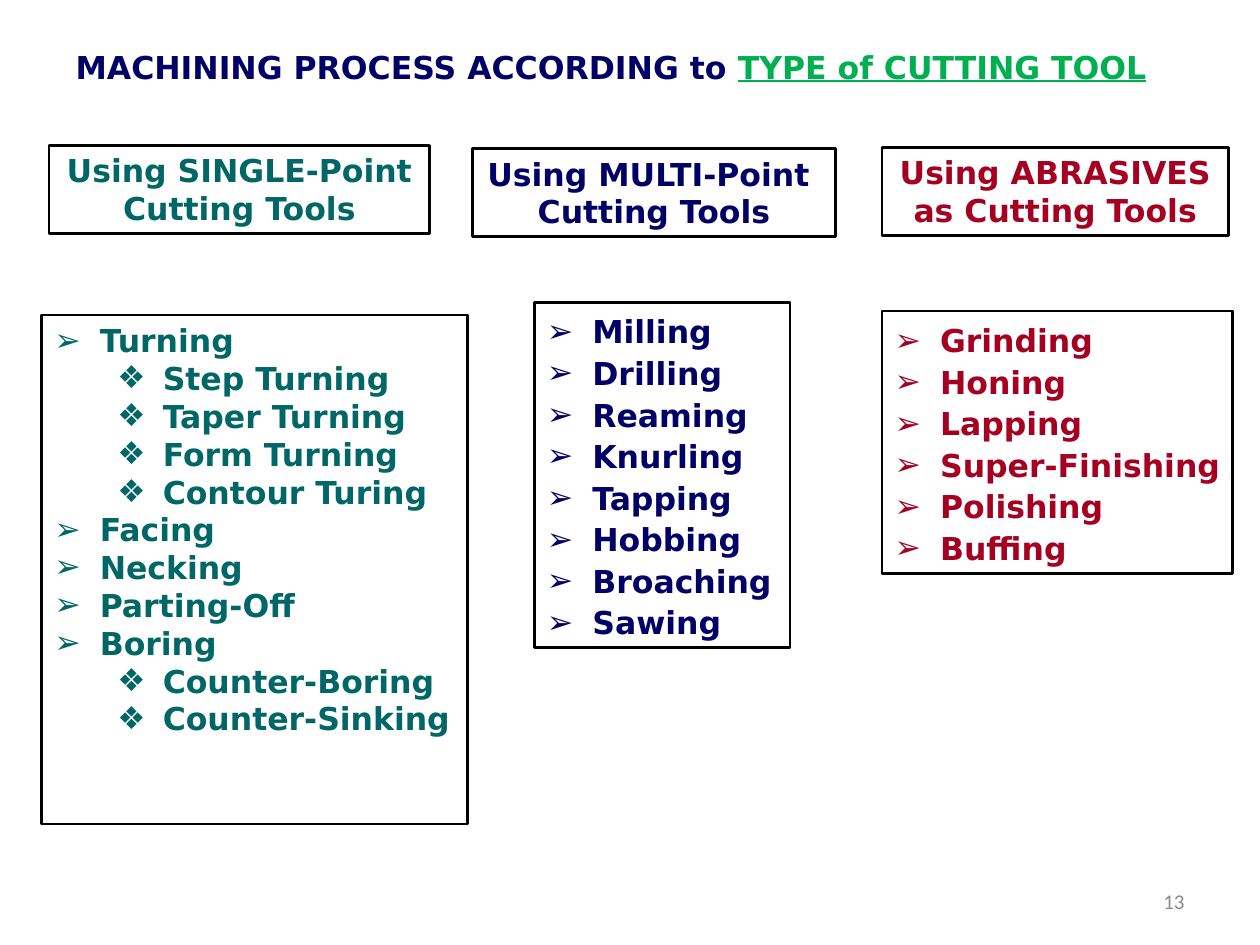
from dataclasses import dataclass

from lxml import etree
from pptx import Presentation
from pptx import util as u
from pptx.dml.color import RGBColor
from pptx.enum import shapes, text
from pptx.oxml import ns

COLORS = {
    "teal": "006666",
    "navy": "000066",
    "crimson": "A50021",
    "green": "00B050",
    "gray": "8C8C8C",
    "black": "000000",
}
HEADING_FONT = "DejaVu Sans"
BULLETS = ("➢", "❖")
LEVEL_INDENTS = (26, 62)
HANGING = 26


@dataclass(frozen=True)
class Box:
    left: float
    top: float
    width: float
    height: float
    wrap: bool = True
    right_margin: float = 7.2


@dataclass(frozen=True)
class ToolGroup:
    color: str
    heading: tuple[str, str]
    heading_box: Box
    processes: tuple[tuple[int, str], ...]
    list_box: Box
    line_spacing: float = 1.1


def main_items(*names: str) -> tuple[tuple[int, str], ...]:
    return tuple((0, name) for name in names)


def sub_items(*names: str) -> tuple[tuple[int, str], ...]:
    return tuple((1, name) for name in names)


GROUPS = (
    ToolGroup(
        "teal",
        ("Using SINGLE-Point", "Cutting Tools"),
        Box(28.1, 83, 217.4, 50.4, wrap=False),
        main_items("Turning")
        + sub_items("Step Turning", "Taper Turning", "Form Turning", "Contour Turing")
        + main_items("Facing", "Necking", "Parting-Off", "Boring")
        + sub_items("Counter-Boring", "Counter-Sinking"),
        Box(23.8, 180, 243.4, 290.9),
        line_spacing=1.0,
    ),
    ToolGroup(
        "navy",
        ("Using MULTI-Point ", "Cutting Tools"),
        Box(270, 84.8, 207.4, 50.4, wrap=False),
        main_items("Milling", "Drilling", "Reaming", "Knurling",
                   "Tapping", "Hobbing", "Broaching", "Sawing"),
        Box(305.3, 172.8, 146.2, 197.3),
    ),
    ToolGroup(
        "crimson",
        ("Using ABRASIVES", "as Cutting Tools"),
        Box(504, 84.2, 198, 50.4, wrap=False),
        main_items("Grinding", "Honing", "Lapping",
                   "Super-Finishing", "Polishing", "Buffing"),
        Box(504, 177.8, 200.2, 149.8, right_margin=0),
    ),
)


def rgb(name: str) -> RGBColor:
    return RGBColor.from_string(COLORS[name])


def write(paragraph, content: str, *, color: str, size: float = 18,
          font: str = HEADING_FONT, bold: bool = True, underline: bool = False,
          align=text.PP_ALIGN.JUSTIFY, spacing: float = 1.0) -> None:
    paragraph.alignment = align
    paragraph.line_spacing = spacing
    paragraph.space_before = u.Pt(0)
    run = paragraph.add_run()
    run.text = content
    run.font.name = font
    run.font.size = u.Pt(size)
    run.font.bold = bold
    run.font.underline = underline
    run.font.color.rgb = rgb(color)


def add_bullet(paragraph, level: int, color: str) -> None:
    paragraph.level = level
    properties = paragraph._p.get_or_add_pPr()
    properties.set("marL", str(u.Pt(LEVEL_INDENTS[level])))
    properties.set("indent", str(-u.Pt(HANGING)))
    bullet_color = etree.SubElement(properties, ns.qn("a:buClr"))
    etree.SubElement(bullet_color, ns.qn("a:srgbClr")).set("val", COLORS[color])
    etree.SubElement(properties, ns.qn("a:buChar")).set("char", BULLETS[level])


def place(shape, box: Box, anchor=text.MSO_ANCHOR.TOP) -> None:
    shape.left, shape.top = u.Pt(box.left), u.Pt(box.top)
    shape.width, shape.height = u.Pt(box.width), u.Pt(box.height)
    frame = shape.text_frame
    frame.auto_size = text.MSO_AUTO_SIZE.NONE
    frame.word_wrap = box.wrap
    frame.vertical_anchor = anchor
    frame.margin_left = u.Pt(7.2)
    frame.margin_right = u.Pt(box.right_margin)
    frame.margin_top = frame.margin_bottom = u.Pt(3.6)


def outline(shape) -> None:
    shape.fill.background()
    shape.line.color.rgb = rgb("black")
    shape.line.width = u.Pt(1.5)


def next_paragraph(frame, index: int):
    return frame.add_paragraph() if index else frame.paragraphs[0]


def draw_heading(slide, group: ToolGroup) -> None:
    shape = slide.shapes.add_shape(shapes.MSO_SHAPE.RECTANGLE, 0, 0, 0, 0)
    shape.shadow.inherit = False
    place(shape, group.heading_box)
    outline(shape)
    for index, line in enumerate(group.heading):
        write(next_paragraph(shape.text_frame, index), line,
              color=group.color, align=text.PP_ALIGN.CENTER)


def fill_list(shape, group: ToolGroup) -> None:
    place(shape, group.list_box)
    outline(shape)
    for index, (level, process) in enumerate(group.processes):
        paragraph = next_paragraph(shape.text_frame, index)
        write(paragraph, process, color=group.color, spacing=group.line_spacing)
        add_bullet(paragraph, level, group.color)


def main() -> None:
    presentation = Presentation()
    presentation.slide_width, presentation.slide_height = u.Pt(720), u.Pt(540)
    comparison = presentation.slide_layouts.get_by_name("Comparison")
    slide = presentation.slides.add_slide(comparison)

    title = slide.shapes.title
    place(title, Box(36, 23.8, 648, 28.8), text.MSO_ANCHOR.MIDDLE)
    paragraph = title.text_frame.paragraphs[0]
    write(paragraph, "MACHINING PROCESS ACCORDING to ", color="navy")
    write(paragraph, "TYPE of CUTTING TOOL", color="green", underline=True)

    bodies = list(slide.placeholders)[1:]
    for group, body in zip(GROUPS, bodies):
        draw_heading(slide, group)
        fill_list(body, group)
    for unused in bodies[len(GROUPS):]:
        unused.element.getparent().remove(unused.element)

    number = slide.shapes.add_textbox(0, 0, 0, 0)
    place(number, Box(516.2, 500.4, 167.8, 28.8), text.MSO_ANCHOR.MIDDLE)
    write(number.text_frame.paragraphs[0], "13", color="gray", size=12,
          font="Calibri", bold=False, align=text.PP_ALIGN.RIGHT)

    presentation.save("out.pptx")


if __name__ == "__main__":
    main()
